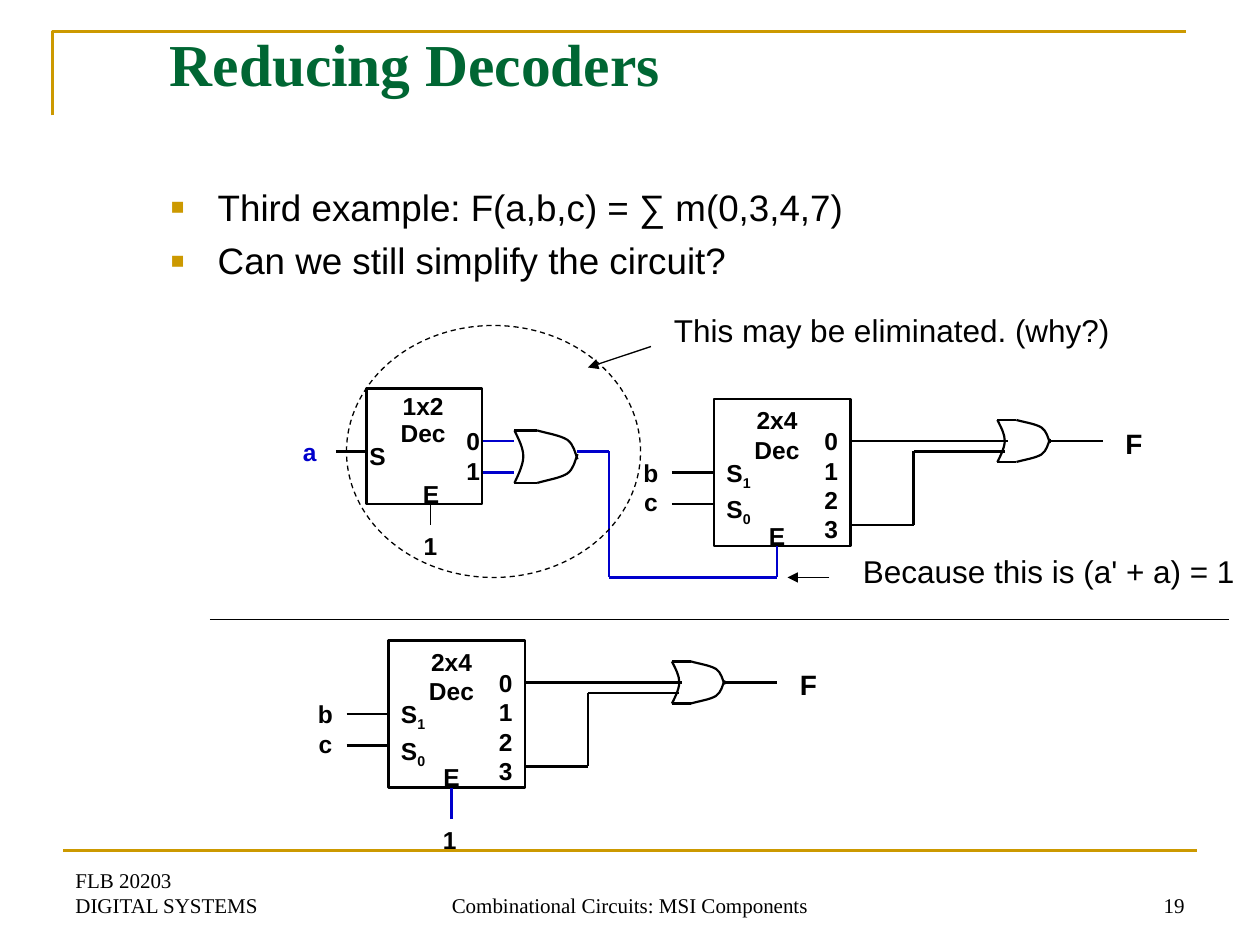
from dataclasses import dataclass
from itertools import pairwise

from lxml import etree
from pptx import Presentation, util as u
from pptx.dml.color import RGBColor
from pptx.enum import dml, shapes, text
from pptx.oxml import ns


@dataclass(frozen=True)
class Theme:
    ink: str = "000000"
    blue: str = "0000CC"
    gold: str = "CC9900"
    green: str = "006633"
    serif: str = "Times New Roman"
    sans: str = "Arial"
    title: int = 34
    body: int = 21
    note: int = 18
    output: int = 16
    label: int = 14
    footer: int = 12
    thin: float = 0.75
    wire: float = 1.25
    frame: float = 1.5


THEME = Theme()
LEFT, CENTER, RIGHT = text.PP_ALIGN.LEFT, text.PP_ALIGN.CENTER, text.PP_ALIGN.RIGHT
# OR gate curves as Bezier controls, in shares of the gate's width and height
GATE_BACK = [(0, 0), (0.07, 0.18), (0.14, 0.33), (0.14, 0.5),
             (0.14, 0.67), (0.03, 0.92), (0, 1)]
GATE_NOSE = [(0.36, 0), (0.53, 0.06), (0.72, 0.09), (0.84, 0.18),
             (0.94, 0.27), (0.96, 0.42), (1, 0.55)]


def grid(cells):
    """Twelve columns or rows to the inch."""
    return u.Inches(cells / 12)


class Sheet:
    def __init__(self, deck, theme):
        self.theme = theme
        self.page = deck.slides.add_slide(deck.slide_layouts[6])

    def stroke(self, shape, color, width):
        shape.line.color.rgb = RGBColor.from_string(color)
        shape.line.width = u.Pt(width)

    def wire(self, *points, color=THEME.ink, width=THEME.wire, arrow=False):
        for start, end in pairwise(points):
            line = self.page.shapes.add_connector(
                shapes.MSO_CONNECTOR.STRAIGHT, *map(grid, (*start, *end)))
            self.stroke(line, color, width)
            properties = line._element.spPr
            if arrow:
                outline = properties.find(ns.qn("a:ln"))
                etree.SubElement(outline, ns.qn("a:tailEnd"), type="triangle")
            etree.SubElement(properties, ns.qn("a:effectLst"))
        return line

    def outline(self, points, color=THEME.ink, width=THEME.wire):
        start, *rest = [(grid(x), grid(y)) for x, y in points]
        builder = self.page.shapes.build_freeform(*start)
        builder.add_line_segments(rest, close=False)
        return self.finish(builder.convert_to_shape(), color, width)

    def curve(self, controls):
        """Turn each three segments of an outline into one Bezier segment."""
        shape = self.outline(controls)
        segments = list(shape._element.iter(ns.qn("a:lnTo")))
        for i in range(0, len(segments), 3):
            bend = etree.Element(ns.qn("a:cubicBezTo"))
            segments[i].addprevious(bend)
            for segment in segments[i:i + 3]:
                bend.append(segment[0])
                segment.getparent().remove(segment)

    def finish(self, shape, color, width):
        shape.shadow.inherit = False
        shape.fill.background()
        self.stroke(shape, color, width)
        return shape

    def shape(self, kind, x, y, w, h, width):
        shape = self.page.shapes.add_shape(kind, *map(grid, (x, y, w, h)))
        return self.finish(shape, self.theme.ink, width)

    def text(self, words, x, y, w, h=None, size=THEME.label, color=THEME.ink,
             font=THEME.sans, bold=True, align=LEFT, bottom=False,
             gap=0, spacing=None, bullet=False):
        lines = words.split("\n")
        height = h or (len(lines) * size / 60 + 0.1) * 12
        box = self.page.shapes.add_textbox(*map(grid, (x, y, w, height)))
        frame = box.text_frame
        frame.word_wrap = True
        frame.auto_size = text.MSO_AUTO_SIZE.NONE if h else text.MSO_AUTO_SIZE.SHAPE_TO_FIT_TEXT
        frame.vertical_anchor = text.MSO_ANCHOR.BOTTOM if bottom else text.MSO_ANCHOR.TOP
        frame.text = words.replace("_", "")
        for i, (para, line) in enumerate(zip(frame.paragraphs, lines)):
            para.alignment = align
            if i and gap:
                para.space_before = u.Pt(gap)
            if spacing:
                para.line_spacing = spacing
            if bullet:
                self.bullet(para)
            # An underscore marks the subscript
            base, mark, index = line.partition("_")
            if mark:
                para.text = base
                span = para.add_run()
                span.text = index
                span.font._element.set("baseline", "-25000")
            for span in para.runs:
                span.font.size = u.Pt(size)
                span.font.name = font
                span.font.bold = bold
                span.font.color.rgb = RGBColor.from_string(color)

    def bullet(self, para):
        properties = para._p.get_or_add_pPr()
        indent = u.Inches(0.38)
        properties.set("marL", str(indent))
        properties.set("indent", str(-indent))
        tint = etree.SubElement(properties, ns.qn("a:buClr"))
        etree.SubElement(tint, ns.qn("a:srgbClr"), val=self.theme.gold)
        etree.SubElement(properties, ns.qn("a:buSzPct"), val="120000")
        etree.SubElement(properties, ns.qn("a:buFont"), typeface=self.theme.sans)
        etree.SubElement(properties, ns.qn("a:buChar"), char="▪")

    def or_gate(self, x, y, w, h):
        def place(points, flip=False):
            return [(x + px * w, y + (1 - py if flip else py) * h) for px, py in points]

        self.curve(place(GATE_BACK))
        for flip in (False, True):
            self.wire(*place([(0, 0), (0.36, 0)], flip))
            self.curve(place(GATE_NOSE, flip))

    def decoder_circuit(self, x, y):
        """2x4 decoder with inputs b, c; outputs 0 and 3 feed an OR gate."""
        def at(*points):
            return [(x + px, y + py) for px, py in points]

        box = self.shape(shapes.MSO_SHAPE.RECTANGLE, x, y, 13, 14, self.theme.frame)
        self.wire(*at((-4, 7), (0, 7))).end_connect(box, 1)
        self.wire(*at((-4, 10), (0, 10)))
        self.wire(*at((13, 4), (28, 4)))
        self.wire(*at((21, 4), (28, 4)))
        self.wire(*at((13, 12), (19, 12), (19, 5), (27.7, 5)))
        self.or_gate(x + 27, y + 2, 5, 4)
        self.wire(*at((32, 4), (37, 4)))
        self.text("2x4\nDec", x + 1, y, 10, align=CENTER)
        self.text("S_1\nS_0", x, y + 5, 5.6, gap=1.8)
        self.text("0\n1\n2\n3", x + 8, y + 2, 5, align=RIGHT)
        self.text("E", x + 4, y + 11, 4, align=CENTER)
        self.text("b\nc", x - 8, y + 5, 4, align=CENTER)
        self.text("F", x + 38, y + 2, 4, size=self.theme.output)


def main():
    deck = Presentation()
    deck.slide_width, deck.slide_height = grid(120), grid(90)
    sheet = Sheet(deck, THEME)

    # Page frame and footer
    sheet.outline([(5, 11), (5, 3), (113, 3)], THEME.gold, THEME.frame)
    sheet.wire((6, 81), (114, 81), color=THEME.gold, width=THEME.frame)
    for words, x, w, align in (("FLB 20203\vDIGITAL SYSTEMS", 6, 28, LEFT),
                               ("Combinational Circuits: MSI Components", 41, 38, CENTER),
                               ("19", 86, 28, RIGHT)):
        sheet.text(words, x, 82, w, 6, size=THEME.footer, font=THEME.serif,
                   bold=False, align=align, bottom=True)

    # Title and bullets
    sheet.text("Reducing Decoders", 15, 2, 102, 15, size=THEME.title,
               color=THEME.green, font=THEME.serif)
    sheet.text("Third example: F(a,b,c) = ∑ m(0,3,4,7)\nCan we still simplify the circuit?",
               15, 17, 102, 13, size=THEME.body, bold=False, gap=5.2, bullet=True)

    # 1x2 decoder and its OR gate, which drive the enable input
    sheet.decoder_circuit(68, 38)
    sheet.shape(shapes.MSO_SHAPE.RECTANGLE, 34.9, 37, 11, 11, THEME.frame)
    sheet.wire((32, 43), (35, 43))
    sheet.wire((41, 48), (41, 50), width=THEME.thin)
    for y in (42, 45):
        sheet.wire((46, y), (49, y), color=THEME.blue)
    sheet.or_gate(49, 41, 6, 5)
    sheet.wire((55, 43), (58, 43), (58, 55), (74, 55), (74, 52), color=THEME.blue)
    sheet.text("1x2\nDec", 35.3, 37, 10, align=CENTER, spacing=0.9)
    sheet.text("S", 34, 41.4, 5.6)
    sheet.text("0\n1", 41.9, 40, 5, align=RIGHT)
    sheet.text("E", 38.9, 45, 4.3, align=CENTER)
    sheet.text("a", 27, 41, 5, color=THEME.blue, align=CENTER)
    sheet.text("1", 38, 50, 6, align=CENTER)

    # Remarks on the part to remove
    ring = sheet.shape(shapes.MSO_SHAPE.OVAL, 33, 31, 28, 24, THEME.thin)
    ring.line.dash_style = dml.MSO_LINE.DASH
    sheet.wire((62, 33), (56, 35), width=THEME.thin, arrow=True)
    sheet.text("This may be eliminated. (why?)", 63, 29, 49, size=THEME.note, bold=False)
    sheet.wire((79, 55), (75, 55), width=THEME.thin, arrow=True)
    sheet.text("Because this is (a' + a) = 1", 81, 52, 39, size=THEME.note, bold=False)

    # Simplified circuit
    sheet.wire((20, 59), (117, 59), width=THEME.thin)
    sheet.decoder_circuit(37, 61)
    sheet.wire((43, 78), (43, 75), color=THEME.blue)
    sheet.text("1", 41, 78, 3)

    deck.save("out.pptx")


if __name__ == "__main__":
    main()
